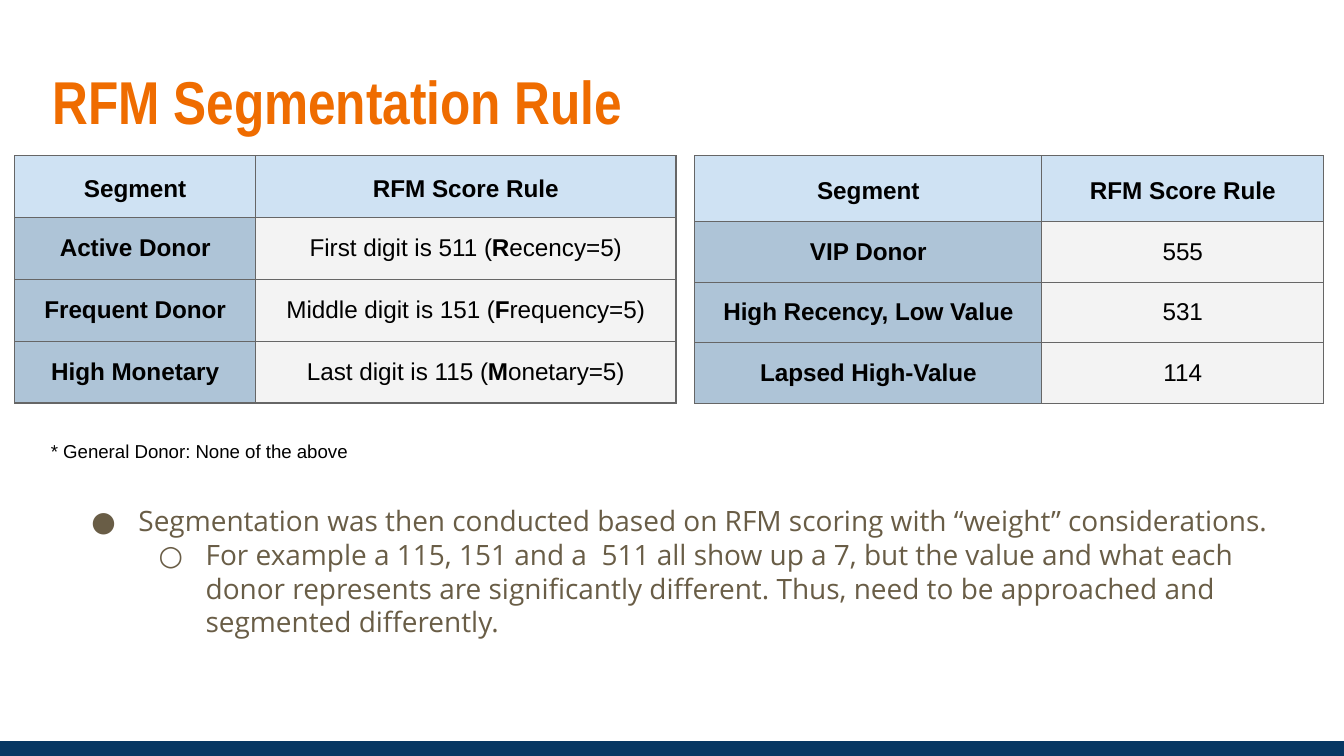
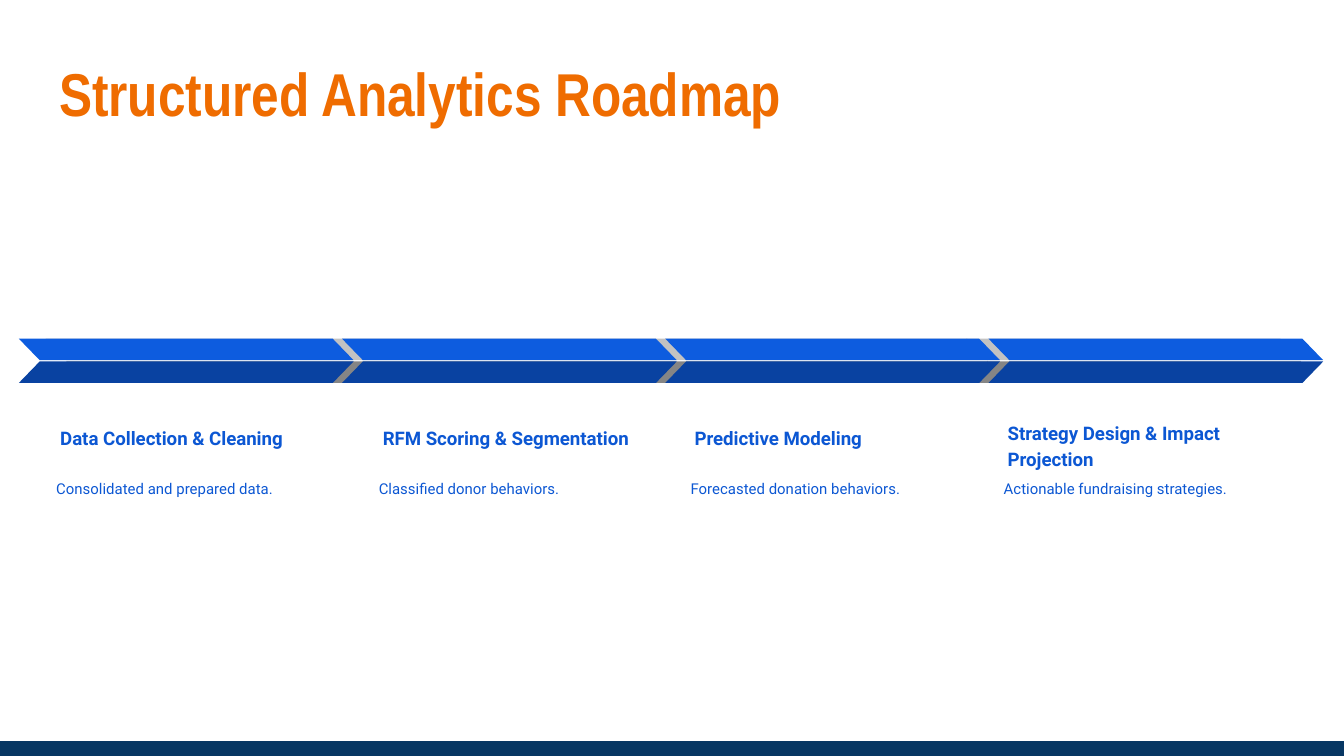
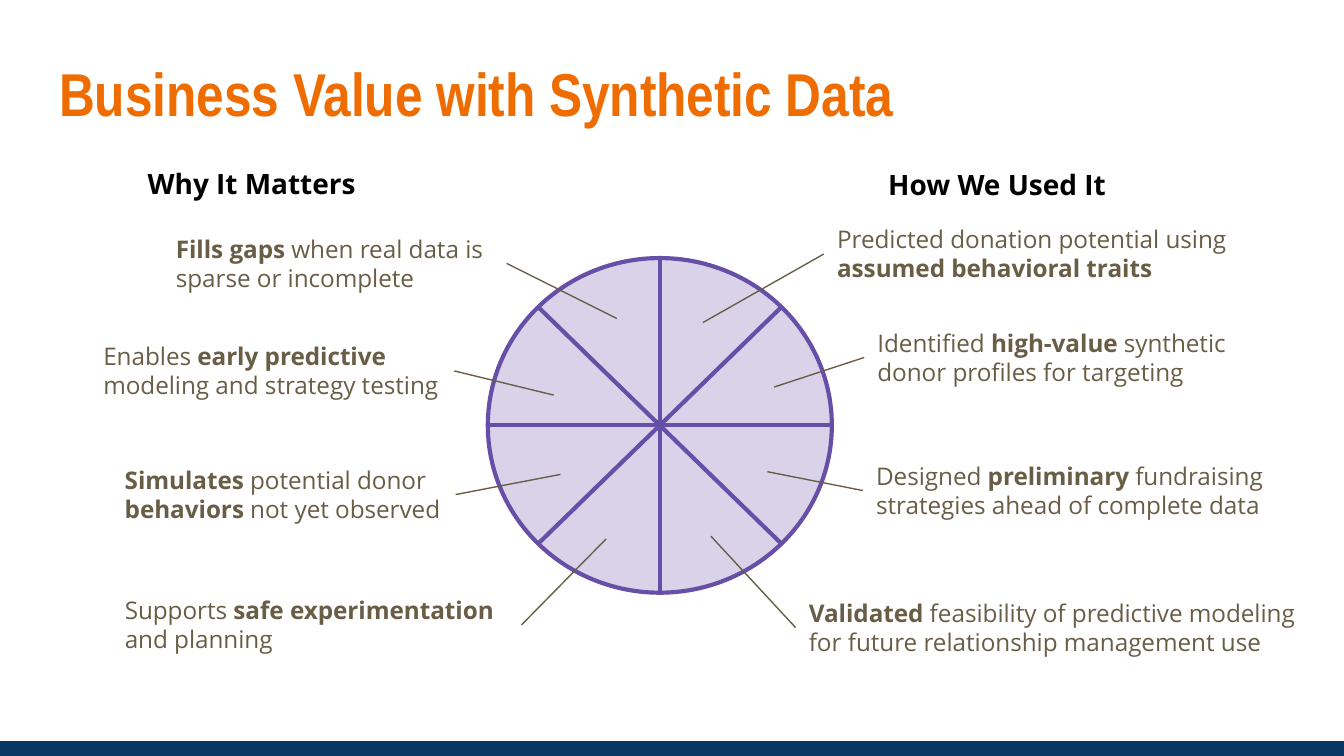
from dataclasses import dataclass

from lxml import etree
from pptx import Presentation
from pptx import util as u
from pptx.dml import color
from pptx.enum import shapes, text
from pptx.oxml import ns


@dataclass(frozen=True)
class Theme:
    orange: str = "EF6C00"
    navy: str = "073763"
    black: str = "000000"
    brown: str = "695D46"
    step_text: str = "0C57D3"
    step_blues: tuple = ("0D5CDF", "0942A1")
    step_greys: tuple = ("C2C2C2", "858585")
    wheel_fill: str = "D9D2E9"
    wheel_line: str = "674EA7"
    header_fill: str = "CFE2F3"
    segment_fill: str = "AEC4D7"
    rule_fill: str = "F3F3F3"
    border: str = "666666"
    title_font: str = "Arial Narrow"
    table_font: str = "Arial"
    body_font: str = "Open Sans"
    step_font: str = "Roboto"
    title_size: float = 32.4
    body_size: int = 15
    label_size: int = 13
    small_size: int = 10
    tiny_size: int = 8


THEME = Theme()
WIDTH, HEIGHT = u.Inches(10), u.Inches(5.625)
CELL = WIDTH // 100
ROWS = HEIGHT / CELL
INSET = u.Inches(0.1)


@dataclass(frozen=True)
class Box:
    left: float
    top: float
    width: float
    height: float

    def inner(self, left, top, width, height):
        return Box(self.left + left, self.top + top, width, height)

    def lengths(self):
        return [u.Emu(round(value * CELL)) for value in (self.left, self.top, self.width, self.height)]


PAGE = Box(0, 0, 100, ROWS)


def rgb(value):
    return color.RGBColor.from_string(value)


def child(parent, tag, **attributes):
    return etree.SubElement(parent, ns.qn(tag), attributes)


def place(shape, box):
    shape.left, shape.top, shape.width, shape.height = box.lengths()


def style(paragraph, font, size, ink, bold=False):
    paragraph.font.name = font
    paragraph.font.size = u.Pt(size)
    paragraph.font.color.rgb = rgb(ink)
    paragraph.font.bold = bold


def write(paragraph, marked_text):
    for index, piece in enumerate(marked_text.split("**")):
        if piece:
            run = paragraph.add_run()
            run.text = piece
            if index % 2:
                run.font.bold = True


def prepare(frame, anchor=text.MSO_ANCHOR.TOP):
    frame.word_wrap = True
    frame.auto_size = text.MSO_AUTO_SIZE.NONE
    frame.vertical_anchor = anchor
    frame.margin_left = frame.margin_right = INSET
    frame.margin_top = frame.margin_bottom = INSET


def add_text(slide, box, marked_text, font, size, ink, bold=False,
             anchor=text.MSO_ANCHOR.TOP, spacing=1.0):
    shape = slide.shapes.add_textbox(*box.lengths())
    prepare(shape.text_frame, anchor)
    paragraph = shape.text_frame.paragraphs[0]
    paragraph.line_spacing = spacing
    write(paragraph, marked_text)
    style(paragraph, font, size, ink, bold)
    return shape


def add_filled(parent, kind, box, fill):
    shape = parent.shapes.add_shape(kind, *box.lengths())
    shape.shadow.inherit = False
    shape.fill.solid()
    shape.fill.fore_color.rgb = rgb(fill)
    shape.line.fill.background()
    return shape


def add_line(parent, start, end, ink, weight):
    points = [round(value * CELL) for value in (*start, *end)]
    connector = parent.shapes.add_connector(shapes.MSO_CONNECTOR.STRAIGHT, *points)
    connector.line.color.rgb = rgb(ink)
    connector.line.width = u.Pt(weight)
    child(connector.element.spPr, "a:effectLst")
    return connector


def add_band(presentation, slide):
    band = add_filled(slide, shapes.MSO_SHAPE.RECTANGLE, PAGE.inner(0, ROWS - 1.1, 100, 1.1), THEME.navy)
    band.element.nvSpPr.cNvPr.set("id", "20")
    presentation.slide_master.shapes.element.append(band.element)


def add_slide(presentation, layout, title, left=3.4, top=3.2):
    slide = presentation.slides.add_slide(presentation.slide_layouts[layout])
    shape = slide.shapes.title
    place(shape, PAGE.inner(left, top, 93.2, 7.7))
    prepare(shape.text_frame)
    paragraph = shape.text_frame.paragraphs[0]
    paragraph.alignment = text.PP_ALIGN.LEFT
    write(paragraph, title)
    style(paragraph, THEME.title_font, THEME.title_size, THEME.orange, True)
    return slide


def fill_cell(cell, marked_text, fill, bold, spacing):
    properties = cell._tc.get_or_add_tcPr()
    for side in ("a:lnL", "a:lnR", "a:lnT", "a:lnB"):
        border = child(properties, side, w=str(u.Pt(0.75)))
        child(child(border, "a:solidFill"), "a:srgbClr", val=THEME.border)
    cell.fill.solid()
    cell.fill.fore_color.rgb = rgb(fill)
    cell.vertical_anchor = text.MSO_ANCHOR.MIDDLE
    cell.margin_left = cell.margin_right = cell.margin_top = cell.margin_bottom = INSET
    paragraph = cell.text_frame.paragraphs[0]
    paragraph.alignment = text.PP_ALIGN.CENTER
    paragraph.line_spacing = spacing
    write(paragraph, marked_text)
    style(paragraph, THEME.table_font, THEME.label_size, THEME.black, bold)


def add_score_table(slide, box, segment_width, header_height, rules):
    rows = [("Segment", "RFM Score Rule"), *rules]
    table = slide.shapes.add_table(len(rows), 2, *box.lengths()).table
    for column, width in zip(table.columns, (segment_width, box.width - segment_width)):
        column.width = round(width * CELL)
    row_height = (box.height - header_height) / len(rules)
    for row_index, row in enumerate(rows):
        header = row_index == 0
        table.rows[row_index].height = round((header_height if header else row_height) * CELL)
        for column_index, value in enumerate(row):
            column_fill = (THEME.segment_fill, THEME.rule_fill)[column_index]
            fill_cell(table.cell(row_index, column_index), value,
                      THEME.header_fill if header else column_fill,
                      header or column_index == 0, 1.15 if header else 1.0)


def add_bullets(slide, box, items):
    body = slide.placeholders[1]
    place(body, box)
    frame = body.text_frame
    prepare(frame)
    for index, (level, mark, words) in enumerate(items):
        paragraph = frame.add_paragraph() if index else frame.paragraphs[0]
        paragraph.level = level
        properties = paragraph._p.get_or_add_pPr()
        properties.set("marL", str(u.Inches(0.5 * (level + 1))))
        properties.set("indent", str(u.Inches(-0.35)))
        child(child(properties, "a:buClr"), "a:srgbClr", val=THEME.brown)
        child(properties, "a:buFont", typeface=THEME.body_font)
        child(properties, "a:buChar", char=mark)
        paragraph.space_before = u.Pt(0)
        write(paragraph, words)
        style(paragraph, THEME.body_font, THEME.body_size, THEME.brown)


def build_rules(presentation):
    slide = add_slide(presentation, 1, "RFM Segmentation Rule", 2.9, 3.8)
    add_band(presentation, slide)
    add_text(slide, PAGE.inner(2.8, 31.7, 32.8, 3.7), "* General Donor: None of the above",
             THEME.table_font, THEME.small_size, THEME.black)
    add_bullets(slide, PAGE.inner(4.3, 36.5, 92.6, 15.3), [
        (0, "●", "Segmentation was then conducted based on RFM scoring with “weight” considerations."),
        (1, "○", "For example a 115, 151 and a  511 all show up a 7, but the value and what each donor "
                 "represents are significantly different. Thus, need to be approached and "
                 "segmented differently."),
    ])
    add_score_table(slide, PAGE.inner(51.7, 11.6, 46.8, 18.4), 25.8, 4.9, [
        ("VIP Donor", "555"),
        ("High Recency, Low Value", "531"),
        ("Lapsed High-Value", "114"),
    ])
    add_score_table(slide, PAGE.inner(1.1, 11.6, 49.2, 18.4), 17.9, 4.6, [
        ("Active Donor", "First digit is 511 (**R**ecency=5)"),
        ("Frequent Donor", "Middle digit is 151 (**F**requency=5)"),
        ("High Monetary", "Last digit is 115 (**M**onetary=5)"),
    ])


def add_arrow_bar(slide, box, fills):
    for index, fill in enumerate(fills):
        half = add_filled(slide, shapes.MSO_SHAPE.PARALLELOGRAM,
                          box.inner(0, 1.7 * index, box.width, 1.6), fill)
        half.adjustments[0] = 0.97
        if index == 0:
            half.element.spPr.xfrm.set("flipH", "1")


def add_step_text(slide, box, heading, description, drop):
    add_text(slide, box.inner(0.3, drop, 20.4, 4.9), heading, THEME.step_font, THEME.small_size,
             THEME.step_text, True, text.MSO_ANCHOR.BOTTOM, 1.15)
    add_text(slide, box.inner(0, 5, 21, 8.1), description, THEME.step_font, THEME.tiny_size,
             THEME.step_text, spacing=1.15)


def build_roadmap(presentation):
    slide = add_slide(presentation, 5, "Structured Analytics Roadmap")
    bar = PAGE.inner(1.4, 25.2, 97, 3.3)
    add_arrow_bar(slide, bar.inner(2, 0, 70.1, 3.3), THEME.step_greys)
    add_arrow_bar(slide, bar.inner(70.5, 0, 24.9, 3.3), THEME.step_greys)
    steps = [
        (3.2, "Data Collection & Cleaning", "Consolidated and prepared data.", 0),
        (27.2, "RFM Scoring & Segmentation", "Classified donor behaviors.", 0),
        (50.4, "Predictive Modeling", "Forecasted donation behaviors.", 0),
        (73.7, "Strategy Design & Impact Projection", "Actionable fundraising strategies.", 1.6),
    ]
    for index, (left, heading, description, drop) in enumerate(steps):
        add_arrow_bar(slide, bar.inner(24.05 * index, 0, 24.9, 3.3), THEME.step_blues)
        add_step_text(slide, PAGE.inner(left, 29.5, 21, 13.1), heading, description, drop)


def add_wheel(slide, box):
    group = slide.shapes.add_group_shape()
    disc = add_filled(group, shapes.MSO_SHAPE.FLOWCHART_SUMMING_JUNCTION, box, THEME.wheel_fill)
    disc.line.color.rgb = rgb(THEME.wheel_line)
    disc.line.width = u.Pt(2.25)
    right, bottom = box.left + box.width, box.top + box.height
    middle, centre = box.left + box.width / 2, box.top + box.height / 2
    add_line(group, (middle, box.top), (middle, bottom), THEME.wheel_line, 2.25)
    add_line(group, (box.left, centre), (right, centre), THEME.wheel_line, 2.25)


def add_callouts(slide, heading_box, heading, side, callouts):
    add_text(slide, heading_box, heading, THEME.body_font, THEME.body_size, THEME.black, True)
    for left, top, width, tip, words in callouts:
        label = add_text(slide, PAGE.inner(left, top, width, 6.4), words,
                         THEME.body_font, THEME.label_size, THEME.brown)
        leader = add_line(slide, tip, (left, top), THEME.brown, 0.75)
        leader.end_connect(label, side)


def build_value(presentation):
    slide = add_slide(presentation, 5, "Business Value with Synthetic Data")
    add_wheel(slide, PAGE.inner(36.3, 19.2, 25.6, 24.9))
    add_callouts(slide, PAGE.inner(10, 11.4, 19, 4.5), "Why It Matters", 3, [
        (12.1, 16.4, 25.6, (45.9, 23.7), "**Fills gaps** when real data is sparse or incomplete"),
        (6.7, 24.4, 27.1, (41.2, 29.4), "Enables **early predictive** modeling and strategy testing"),
        (8.3, 33.6, 25.6, (41.7, 35.3), "**Simulates** potential donor **behaviors** not yet observed"),
        (8.3, 43.3, 30.5, (45.1, 40.1), "Supports **safe experimentation **and planning"),
    ])
    add_callouts(slide, PAGE.inner(65.1, 11.5, 21.8, 4.5), "How We Used It", 1, [
        (61.3, 15.7, 32.8, (52.3, 24), "Predicted donation potential using **assumed behavioral traits**"),
        (64.3, 23.4, 32.8, (57.6, 28.8), "Identified **high-value** synthetic donor profiles for targeting"),
        (64.2, 33.3, 32.8, (57.1, 35.1),
         "Designed **preliminary** fundraising strategies ahead of complete data"),
        (59.2, 43.5, 39.6, (52.9, 39.9),
         "**Validated** feasibility of predictive modeling for future relationship management use"),
    ])


def main():
    presentation = Presentation()
    presentation.slide_width, presentation.slide_height = WIDTH, HEIGHT
    build_rules(presentation)
    build_roadmap(presentation)
    build_value(presentation)
    presentation.save("out.pptx")


if __name__ == "__main__":
    main()
